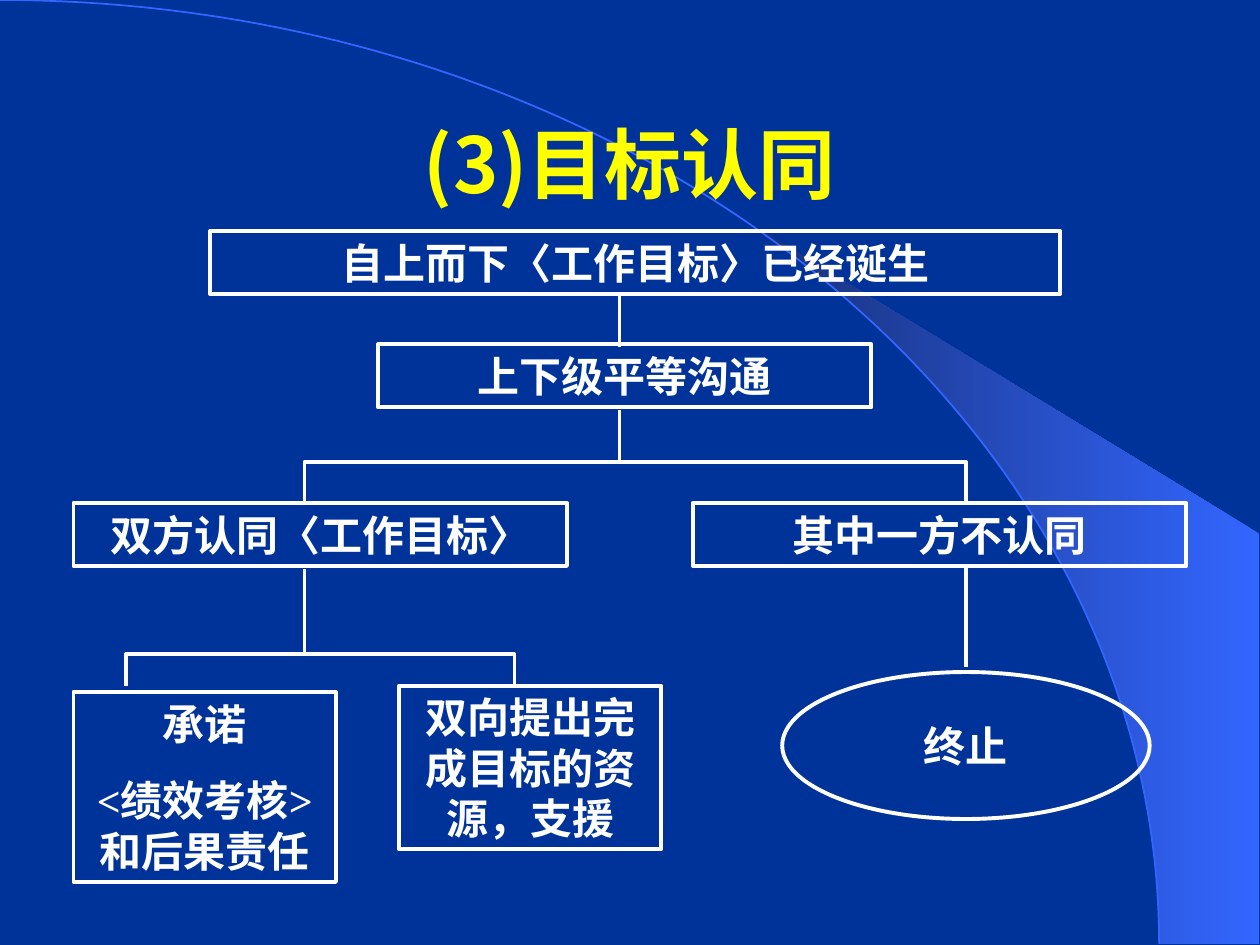
from math import asin, cos, pi, sin
from lxml.etree import SubElement
from pptx import Presentation
from pptx.dml.color import RGBColor
from pptx.enum.shapes import MSO_CONNECTOR, MSO_SHAPE
from pptx.enum.text import MSO_ANCHOR, MSO_AUTO_SIZE, PP_ALIGN
from pptx.oxml.ns import qn
from pptx.util import Inches, Pt

NAVY = RGBColor(0x00, 0x33, 0x99)
DUSK = RGBColor(0x17, 0x2F, 0x75)
BLUE = RGBColor(0x33, 0x66, 0xFF)
GOLD = RGBColor(0xFF, 0xFF, 0x00)
WHITE = RGBColor(0xFF, 0xFF, 0xFF)
SANS, SERIF = "Noto Sans CJK SC", "Times New Roman"
WIDE, HIGH = Inches(10), Inches(7.5)
COLS, ROWS = 120, 90
ARC_W, ARC_H = 110.4, 89.9

HEAD = {"size": Pt(44), "name": SANS, "bold": True}
BODY = {"size": Pt(24), "name": SERIF, "bold": True}
FIT = {"word_wrap": True, "auto_size": MSO_AUTO_SIZE.SHAPE_TO_FIT_TEXT,
       "vertical_anchor": MSO_ANCHOR.TOP}
MID = {"word_wrap": True, "vertical_anchor": MSO_ANCHOR.MIDDLE}
LOOSE = {"word_wrap": False, "vertical_anchor": MSO_ANCHOR.MIDDLE}

BOXES = [
    (20, 22, 81, 6, ["自上而下〈工作目标〉已经诞生"]),
    (36, 32.8, 47, 6, ["上下级平等沟通"]),
    (7, 47.9, 47, 6, ["双方认同〈工作目标〉"]),
    (66, 47.9, 47, 6, ["其中一方不认同"]),
    (7, 65.9, 25, 18.1, ["承诺", "<绩效考核>和后果责任"]),
    (38, 65.3, 25, 15.6, ["双向提出完成目标的资源，支援"]),
]
FORKS = [(29, 92, 44, 48), (12, 49, 62.3, 65.3)]
STEMS = [(59, 28, 33), (59, 39, 44), (29, 54.2, 62.3), (92, 54, 63.5)]


def spot(col, row):
    """Turn a column and a row into slide lengths."""
    return round(col * WIDE / COLS), round(row * HIGH / ROWS)


def apply(item, form):
    """Set each format value on an item."""
    for key, value in form.items():
        setattr(item, key, value)


def write(shape, lines, frame, form, color):
    """Fill a shape with centred lines of text."""
    text = shape.text_frame
    apply(text, frame)
    text.text = "\n".join(lines)
    for index, para in enumerate(text.paragraphs):
        para.alignment = PP_ALIGN.CENTER
        if index:
            para.space_before = Pt(15)
        for run in para.runs:
            apply(run.font, form)
            run.font.color.rgb = color
            SubElement(run.font._element, qn("a:ea"), typeface=SANS)


def stroke(line, color, width):
    """Give a line its colour and width."""
    line.color.rgb = color
    line.width = Pt(width)


def add_node(slide, kind, area, lines, frame):
    """Add an outlined shape with text."""
    col, row, width, height = area
    shape = slide.shapes.add_shape(kind, *spot(col, row), *spot(width, height))
    shape.shadow.inherit = False
    shape.fill.background()
    stroke(shape.line, WHITE, 2.25)
    write(shape, lines, frame, BODY, WHITE)


def add_path(slide, points, close=False):
    """Add an unfilled outline through grid points."""
    first, *rest = [spot(*point) for point in points]
    pen = slide.shapes.build_freeform(*first)
    pen.add_line_segments(rest, close=close)
    shape = pen.convert_to_shape()
    shape.shadow.inherit = False
    shape.fill.background()
    return shape


def add_stem(slide, col, top, end):
    """Add an upright line."""
    line = slide.shapes.add_connector(
        MSO_CONNECTOR.STRAIGHT, *spot(col, top), *spot(col, end))
    stroke(line.line, WHITE, 2.25)
    SubElement(line._element.spPr, qn("a:effectLst"))


def curve(start, steps):
    """List points on the big arc from an angle to its foot."""
    turns = [start + (pi / 2 - start) * i / steps for i in range(steps + 1)]
    return [(ARC_W * sin(t), ARC_H * (1 - cos(t))) for t in turns]


def add_scene(slide):
    """Add the glowing wedge and the arc."""
    start = asin(70.7 / ARC_W)
    edge = [(119.9, 50.8), (119.9, ARC_H)]
    wedge = add_path(slide, edge + curve(start, 30)[::-1], True)
    wedge.line.fill.background()
    wedge.fill.gradient()
    wedge.fill.gradient_angle = 180
    for stop, color, place in zip(wedge.fill.gradient_stops, (BLUE, DUSK), (0, 1)):
        stop.color.rgb = color
        stop.position = place
    stroke(add_path(slide, curve(0, 90)).line, BLUE, 1)


def main():
    """Build and save the slide."""
    deck = Presentation()
    apply(deck, {"slide_width": WIDE, "slide_height": HIGH})
    slide = deck.slides.add_slide(deck.slide_layouts[6])
    slide.background.fill.solid()
    slide.background.fill.fore_color.rgb = NAVY
    add_scene(slide)
    title = slide.shapes.add_textbox(*spot(9, 8), *spot(102, 15))
    write(title, ["(3)目标认同"], MID, HEAD, GOLD)
    for *area, lines in BOXES:
        add_node(slide, MSO_SHAPE.RECTANGLE, area, lines, FIT)
    add_node(slide, MSO_SHAPE.OVAL, (74.5, 64, 35, 14), ["终止"], LOOSE)
    for left, right, top, end in FORKS:
        points = [(left, end), (left, top), (right, top), (right, end)]
        stroke(add_path(slide, points).line, WHITE, 2.25)
    for stem in STEMS:
        add_stem(slide, *stem)
    deck.save("out.pptx")


if __name__ == "__main__":
    main()
